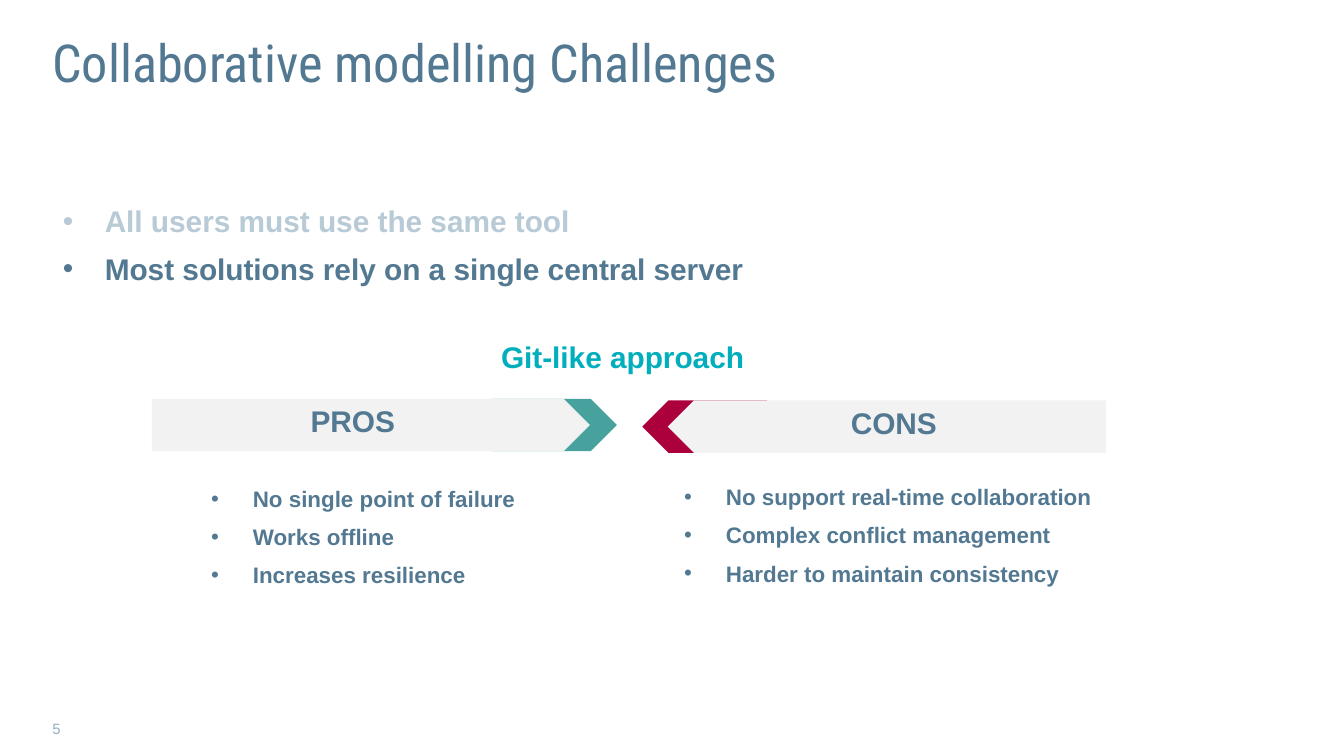
from pptx import Presentation
from pptx.dml.color import RGBColor
from pptx.enum.shapes import MSO_SHAPE as Shape
from pptx.enum.text import MSO_ANCHOR as Anchor, MSO_AUTO_SIZE as AutoSize, PP_ALIGN as Align
from pptx.oxml.ns import qn
from pptx.util import Cm, Pt

SLATE, FADED, TEAL = "537992", "B7CAD6", "00AEBC"


def color(hex_string):
    return RGBColor.from_string(hex_string)


def write(box, lines, size, font="Arial", bold=True, bullets=False, anchor=Anchor.TOP):
    """Fill a box with (text, colour) paragraphs, without margins."""
    frame = box.text_frame
    frame.word_wrap = True
    frame.auto_size = AutoSize.NONE
    frame.vertical_anchor = anchor
    frame.margin_left = frame.margin_top = frame.margin_right = frame.margin_bottom = 0
    for i, (text, ink) in enumerate(lines):
        paragraph = frame.add_paragraph() if i else frame.paragraphs[0]
        paragraph.alignment = Align.LEFT
        paragraph.space_before = Pt(6 if i else 0)
        if bullets:
            props = paragraph._p.get_or_add_pPr()
            props.set("marL", str(Cm(0.79)))
            props.set("indent", str(-Cm(0.79)))
            bullet_font = props.makeelement(qn("a:buFont"), {"typeface": "Arial"})
            bullet = props.makeelement(qn("a:buChar"), {"char": "•"})
            props.extend([bullet_font, bullet])
        run = paragraph.add_run()
        run.text = text
        run.font.name = font
        run.font.size = Pt(size)
        run.font.bold = bold
        run.font.color.rgb = color(ink)


prs = Presentation()
prs.slide_width, prs.slide_height = Cm(25.4), Cm(14.29)
slide = prs.slides.add_slide(prs.slide_layouts[1])

# Title and main points
title, points = slide.placeholders
title.left, title.top, title.width, title.height = Cm(0.99), Cm(0.76), Cm(23.39), Cm(1.78)
write(title, [("Collaborative modelling Challenges", SLATE)], 28, "Roboto Condensed", bold=False)
title.text_frame.paragraphs[0].line_spacing = 0.85

points.left, points.top, points.width, points.height = Cm(1.19), Cm(3.84), Cm(22), Cm(2.11)
write(points, [("All users must use the same tool", FADED),
               ("Most solutions rely on a single central server", SLATE)], 16, bullets=True)

approach = slide.shapes.add_textbox(Cm(9.47), Cm(6.4), Cm(4.7), Cm(0.84))
write(approach, [("Git-like approach", TEAL)], 16)

# Pros and cons: heading, tip colour, flipped, banner top, lefts of tip, bar and label,
# then place of the list and its items
sides = [
    ("PROS", "47A19C", False, 7.54, (9.3, 2.87, 5.87), (3.99, 9.17, 6.88),
     ["No single point of failure", "Works offline", "Increases resilience"]),
    ("CONS", "AC003D", True, 7.57, (12.14, 12.62, 16.08), (12.93, 9.14, 8.13),
     ["No support real-time collaboration", "Complex conflict management",
      "Harder to maintain consistency"]),
]
for heading, tip_color, flipped, top, lefts, (list_left, list_top, list_width), items in sides:
    tip_left, bar_left, label_left = lefts
    banner = slide.shapes.add_group_shape()
    for left, width, fill in [(tip_left, 2.36, tip_color), (bar_left, 8.28, "F2F2F2")]:
        plate = banner.shapes.add_shape(Shape.PENTAGON, Cm(left), Cm(top), Cm(width), Cm(0.99))
        plate.shadow.inherit = False
        plate.fill.solid()
        plate.fill.fore_color.rgb = color(fill)
        plate.line.fill.background()
        if flipped:
            plate._element.spPr.find(qn("a:xfrm")).set("flipH", "1")
    label = banner.shapes.add_textbox(Cm(label_left), Cm(top + 0.08), Cm(1.83), Cm(0.84))
    write(label, [(heading, SLATE)], 16)

    arguments = slide.shapes.add_textbox(Cm(list_left), Cm(list_top), Cm(list_width), Cm(2.73))
    write(arguments, [(item, SLATE) for item in items], 12, bullets=True)

page_number = slide.shapes.add_textbox(Cm(0.99), Cm(13.51), Cm(1.14), Cm(0.51))
write(page_number, [("5", "94AFC2")], 8, bold=False, anchor=Anchor.MIDDLE)

prs.save("out.pptx")
